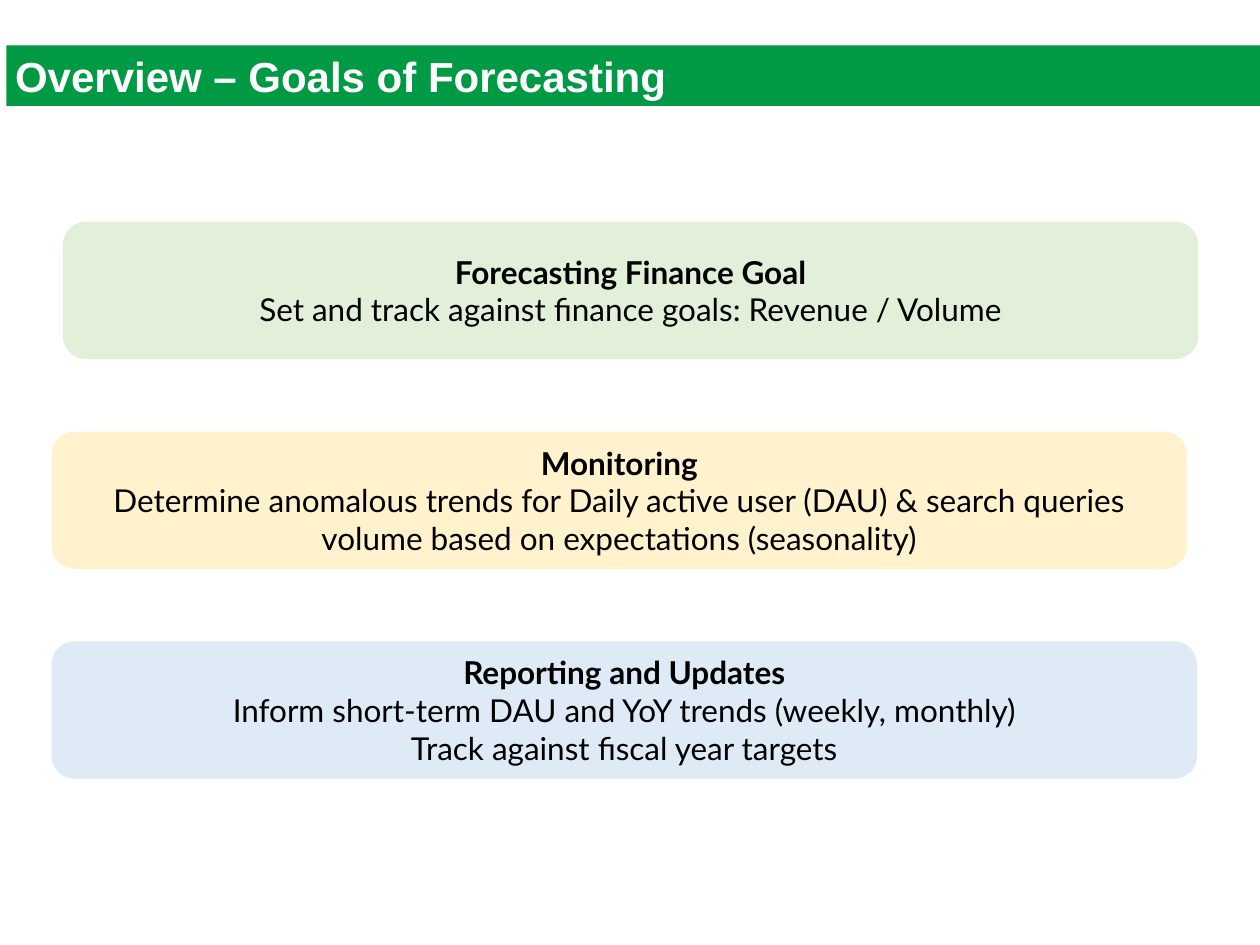
from dataclasses import dataclass

from pptx import Presentation
from pptx.dml.color import RGBColor
from pptx.enum.shapes import MSO_SHAPE
from pptx.enum.text import MSO_ANCHOR, PP_ALIGN
from pptx.util import Inches, Pt


@dataclass(frozen=True)
class Theme:
    banner: str = "009A44"
    banner_text: str = "FFFFFF"
    goal_text: str = "000000"
    goal_fills: tuple = ("E2F0D9", "FFF2CC", "DEEBF7")
    heading_font: str = "Arial"
    body_font: str = "Lato"
    heading_size: int = 24
    body_size: int = 18


THEME = Theme()
WIDTH, HEIGHT = 10, 7.5

# Goal rows: first top, distance between tops, and height
FIRST_TOP, ROW_STEP, ROW_HEIGHT = 1.76, 1.665, 1.09

# Left edge, width, heading and details of each goal
GOALS = [
    (0.5, 9.01, "Forecasting Finance Goal",
     ["Set and track against finance goals: Revenue / Volume"]),
    (0.41, 9.01, "Monitoring",
     ["Determine anomalous trends for Daily active user (DAU) & search queries "
      "volume based on expectations (seasonality)"]),
    (0.41, 9.09, "Reporting and Updates",
     ["Inform short-term DAU and YoY trends (weekly, monthly)",
      "Track against fiscal year targets"]),
]


def add_panel(slide, box, outline, fill):
    """Add a flat, borderless shape and return its text frame."""
    panel = slide.shapes.add_shape(outline, *(Inches(length) for length in box))
    panel.shadow.inherit = False
    panel.fill.solid()
    panel.fill.fore_color.rgb = RGBColor.from_string(fill)
    panel.line.fill.background()
    panel.text_frame.word_wrap = True
    return panel.text_frame


def style_paragraph(paragraph, font_name, size, color, bold, alignment):
    paragraph.alignment = alignment
    for run in paragraph.runs:
        run.font.name = font_name
        run.font.size = Pt(size)
        run.font.bold = bold
        run.font.color.rgb = RGBColor.from_string(color)


def add_banner(slide, box, heading):
    frame = add_panel(slide, box, MSO_SHAPE.RECTANGLE, THEME.banner)
    frame.margin_left = frame.margin_right = Inches(0.07)
    frame.margin_top = frame.margin_bottom = Inches(0.04)
    frame.vertical_anchor = MSO_ANCHOR.TOP
    frame.text = heading
    style_paragraph(frame.paragraphs[0], THEME.heading_font, THEME.heading_size,
                    THEME.banner_text, True, PP_ALIGN.LEFT)


def add_goal(slide, box, fill, heading, details):
    frame = add_panel(slide, box, MSO_SHAPE.ROUNDED_RECTANGLE, fill)
    frame.vertical_anchor = MSO_ANCHOR.MIDDLE
    frame.text = "\n".join([heading, *details])
    for index, paragraph in enumerate(frame.paragraphs):
        style_paragraph(paragraph, THEME.body_font, THEME.body_size,
                        THEME.goal_text, index == 0, PP_ALIGN.CENTER)


def main():
    deck = Presentation()
    deck.slide_width, deck.slide_height = Inches(WIDTH), Inches(HEIGHT)
    slide = deck.slides.add_slide(deck.slide_layouts[6])

    # Title banner
    add_banner(slide, (0.05, 0.36, 9.96, 0.48), "Overview – Goals of Forecasting")

    # Stacked goals
    for row, (left, width, heading, details) in enumerate(GOALS):
        box = (left, FIRST_TOP + row * ROW_STEP, width, ROW_HEIGHT)
        add_goal(slide, box, THEME.goal_fills[row], heading, details)

    deck.save("out.pptx")


if __name__ == "__main__":
    main()
